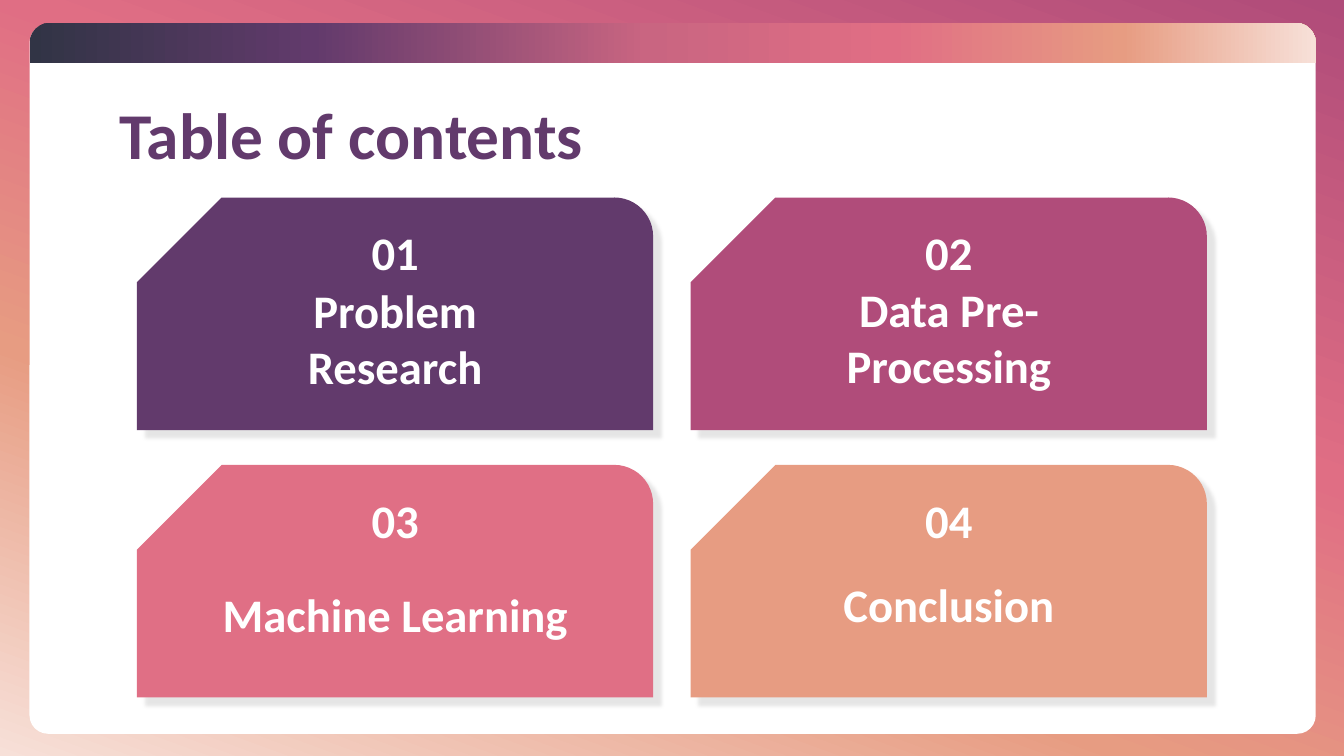
from lxml import etree
from pptx import Presentation
from pptx.dml.color import RGBColor
from pptx.enum.shapes import MSO_SHAPE
from pptx.enum.text import MSO_ANCHOR, PP_ALIGN
from pptx.oxml.ns import qn
from pptx.util import Inches, Pt

WHITE, PURPLE = "FFFFFF", "623A6C"
FONT = "Calibri"

BACKDROP = [(0, "B04C7A"), (39, "E06E84"), (67, "E79C82"), (100, "F7E0D8")]
BAND = [(0, "313445"), (22, PURPLE), (48, "C96581"),
        (67, "E06E84"), (85, "E79C82"), (100, "F7E0D8")]

# number, label, card colour, then top, width and height of the label box
CARDS = [
    ("01", "Problem Research", PURPLE, 2.3, 2.79, 0.43),
    ("02", "Data Pre-Processing", "B04C7A", 2.29, 2.79, 0.43),
    ("03", "Machine Learning", "E06F85", 4.35, 2.79, 0.43),
    ("04", "Conclusion", "E79C82", 4.2, 3.36, 0.58),
]
CARD_LEFT, CARD_TOP = 1.02, 1.47
CARD_WIDTH, CARD_HEIGHT = 3.84, 1.73
COLUMN_STEP, ROW_STEP = 4.12, 1.99
NUMBER_WIDTH, NUMBER_HEIGHT = 2.79, 0.43


def rgb(color):
    return RGBColor.from_string(color)


def fill_gradient(fill, owner, stops, angle):
    """Fill with stops of (percent, colour); the angle runs clockwise."""
    fill.gradient()
    fill.gradient_angle = (360 - angle) % 360
    stop_list = next(owner.iter(qn("a:gsLst")))
    for old_stop in list(stop_list):
        stop_list.remove(old_stop)
    for position, color in stops:
        stop = etree.SubElement(stop_list, qn("a:gs"), pos=str(position * 1000))
        etree.SubElement(stop, qn("a:srgbClr"), val=color)


def add_panel(page, kind, left, top, width, height, adjustments, color=None):
    shape = page.shapes.add_shape(
        kind, Inches(left), Inches(top), Inches(width), Inches(height))
    shape.shadow.inherit = False
    shape.line.fill.background()
    for index, value in enumerate(adjustments):
        shape.adjustments[index] = value
    if color:
        shape.fill.solid()
        shape.fill.fore_color.rgb = rgb(color)
    return shape


def add_shadow(shape):
    effects = shape._element.spPr.find(qn("a:effectLst"))
    shadow = etree.SubElement(
        effects, qn("a:outerShdw"), blurRad=str(Pt(2)), dist=str(Pt(6)),
        dir=str(45 * 60000), algn="tl", rotWithShape="0")
    color = etree.SubElement(shadow, qn("a:srgbClr"), val="000000")
    etree.SubElement(color, qn("a:alpha"), val="10000")


def add_text(page, text, left, top, width, height, *, size=25,
             color=WHITE, align=PP_ALIGN.CENTER):
    box = page.shapes.add_textbox(
        Inches(left), Inches(top), Inches(width), Inches(height))
    frame = box.text_frame
    frame.word_wrap = True
    frame.vertical_anchor = MSO_ANCHOR.MIDDLE
    frame.margin_left = frame.margin_right = Inches(0.1)
    frame.margin_top = frame.margin_bottom = Inches(0.1)
    para = frame.paragraphs[0]
    para.alignment = align
    span = para.add_run()
    span.text = text
    span.font.name = FONT
    span.font.size = Pt(size)
    span.font.bold = True
    span.font.color.rgb = rgb(color)


def add_card(page, left, top, number, label, color,
             label_top, label_width, label_height):
    card = add_panel(page, MSO_SHAPE.SNIP_ROUND_RECTANGLE, left, top,
                     CARD_WIDTH, CARD_HEIGHT, (0.167, 0.364), color)
    card._element.spPr.find(qn("a:xfrm")).set("flipH", "1")
    add_shadow(card)
    center = left + CARD_WIDTH / 2
    add_text(page, number, center - NUMBER_WIDTH / 2, top + 0.19,
             NUMBER_WIDTH, NUMBER_HEIGHT)
    add_text(page, label, center - label_width / 2, label_top,
             label_width, label_height)


def main():
    deck = Presentation()
    deck.slide_width, deck.slide_height = Inches(10), Inches(10) * 9 // 16
    page = deck.slides.add_slide(deck.slide_layouts[6])

    # Backdrop, white sheet and coloured band
    fill_gradient(page.background.fill, page._element, BACKDROP, 110)
    add_panel(page, MSO_SHAPE.ROUNDED_RECTANGLE, 0.22, 0.18, 9.57, 5.28,
              (0.026,), WHITE)
    band = add_panel(page, MSO_SHAPE.ROUND_2_SAME_RECTANGLE,
                     0.22, 0.17, 9.57, 0.3, (0.5, 0))
    fill_gradient(band.fill, band._element, BAND, 0)

    # Title
    add_text(page, "Table of contents", 0.79, 0.6, 8.43, 0.78,
             size=35, color=PURPLE, align=PP_ALIGN.LEFT)

    # Two by two grid of cards
    for index, card in enumerate(CARDS):
        row, column = divmod(index, 2)
        add_card(page, CARD_LEFT + column * COLUMN_STEP,
                 CARD_TOP + row * ROW_STEP, *card)

    deck.save("out.pptx")


if __name__ == "__main__":
    main()
